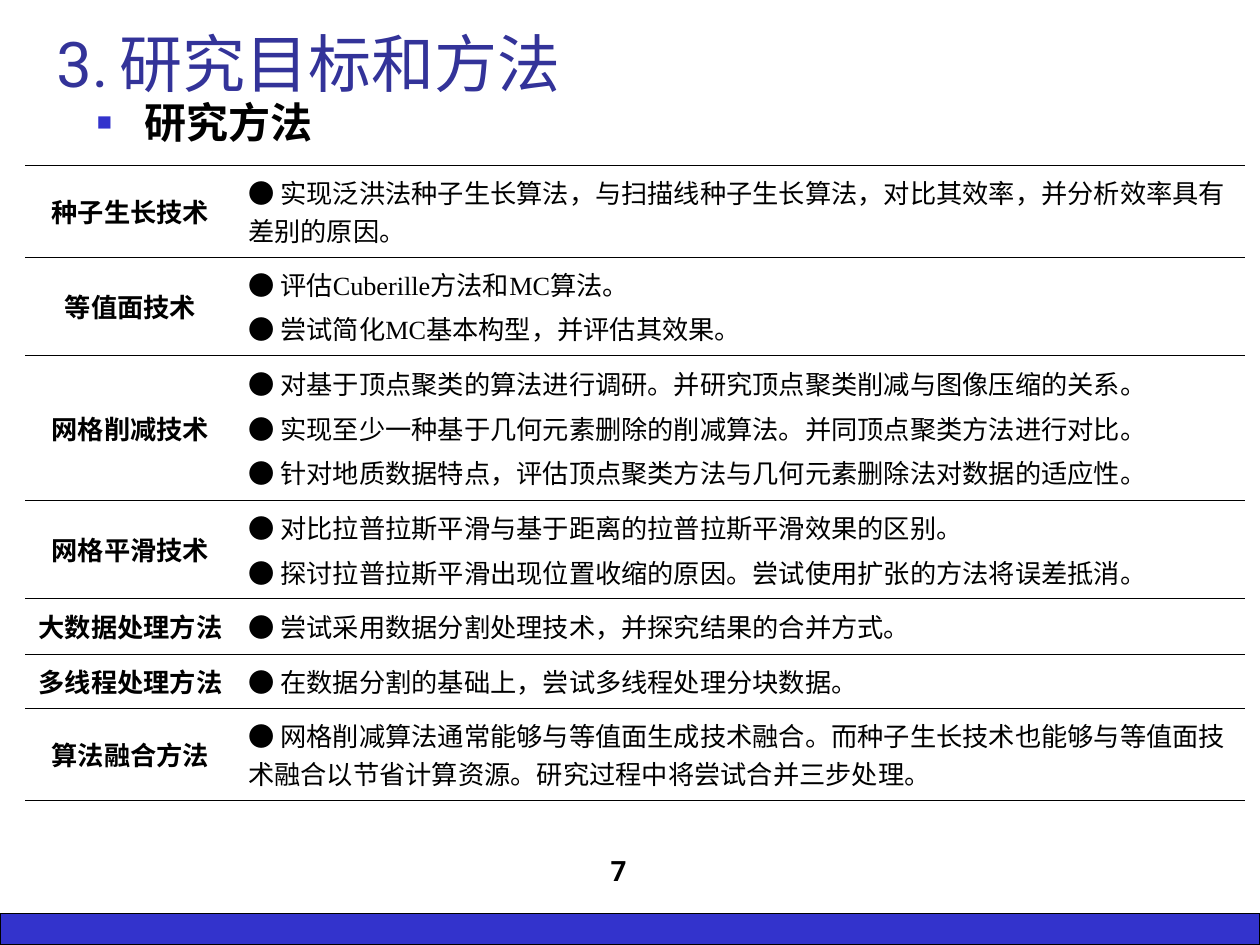
from lxml import etree
from pptx import Presentation
from pptx.dml.color import RGBColor
from pptx.enum.shapes import MSO_SHAPE
from pptx.enum.text import MSO_ANCHOR, PP_ALIGN
from pptx.oxml.ns import qn
from pptx.util import Inches, Pt

RECT = MSO_SHAPE.RECTANGLE
TOP, MIDDLE, BOTTOM = MSO_ANCHOR.TOP, MSO_ANCHOR.MIDDLE, MSO_ANCHOR.BOTTOM
LEFT, CENTER = PP_ALIGN.LEFT, PP_ALIGN.CENTER

COLORS = {"text": "000000", "title": "333399", "accent": "3333CC"}
HEAD, BODY, MARK, CJK = "Roboto", "Times New Roman", "Arial", "Noto Sans CJK SC"

COLUMNS = [1.67, 8.01]
METHODS = [
    (0.73, "种子生长技术", ["实现泛洪法种子生长算法，与扫描线种子生长算法，对比其效率，并分析效率具有差别的原因。"]),
    (0.78, "等值面技术", ["评估Cuberille方法和MC算法。", "尝试简化MC基本构型，并评估其效果。"]),
    (1.15, "网格削减技术", [
        "对基于顶点聚类的算法进行调研。并研究顶点聚类削减与图像压缩的关系。",
        "实现至少一种基于几何元素删除的削减算法。并同顶点聚类方法进行对比。",
        "针对地质数据特点，评估顶点聚类方法与几何元素删除法对数据的适应性。",
    ]),
    (0.78, "网格平滑技术", [
        "对比拉普拉斯平滑与基于距离的拉普拉斯平滑效果的区别。",
        "探讨拉普拉斯平滑出现位置收缩的原因。尝试使用扩张的方法将误差抵消。",
    ]),
    (0.44, "大数据处理方法", ["尝试采用数据分割处理技术，并探究结果的合并方式。"]),
    (0.43, "多线程处理方法", ["在数据分割的基础上，尝试多线程处理分块数据。"]),
    (0.73, "算法融合方法", ["网格削减算法通常能够与等值面生成技术融合。而种子生长技术也能够与等值面技术融合以节省计算资源。研究过程中将尝试合并三步处理。"]),
]


def rgb(name):
    """Return the named colour."""
    return RGBColor.from_string(COLORS[name])


class SlideBuilder:
    """Draw styled elements on one slide."""

    def __init__(self, slide):
        self.slide = slide

    def style(self, r, size, font, color="text", bold=False):
        """Format one run."""
        r.font.size, r.font.bold, r.font.name = Pt(size), bold, font
        r.font.color.rgb = rgb(color)
        etree.SubElement(r.font._element, qn("a:ea"), typeface=CJK)

    def bar(self, x, y, w, h):
        """Add the outlined colour bar."""
        sp = self.slide.shapes.add_shape(RECT, Inches(x), Inches(y), Inches(w), Inches(h))
        sp.shadow.inherit = False
        sp.fill.solid()
        sp.fill.fore_color.rgb = rgb("accent")
        sp.line.color.rgb = rgb("text")
        sp.line.width = Pt(0.75)

    def text(self, x, y, w, h, text, size, color="text", bold=False, align=LEFT, anchor=BOTTOM):
        """Add a one-paragraph text box and return its paragraph."""
        sp = self.slide.shapes.add_textbox(Inches(x), Inches(y), Inches(w), Inches(h))
        tf = sp.text_frame
        tf.word_wrap, tf.vertical_anchor = True, anchor
        p = tf.paragraphs[0]
        p.text, p.alignment = text, align
        self.style(p.runs[0], size, HEAD, color, bold)
        return p

    def bullet(self, p):
        """Give a paragraph a small square bullet."""
        p.line_spacing, p.space_before = 0.9, Pt(6)
        pPr = p._p.get_or_add_pPr()
        pPr.set("marL", str(Inches(0.38)))
        pPr.set("indent", str(-Inches(0.38)))
        clr = etree.SubElement(pPr, qn("a:buClr"))
        etree.SubElement(clr, qn("a:srgbClr"), val=COLORS["accent"])
        etree.SubElement(pPr, qn("a:buSzPct"), val="60000")
        etree.SubElement(pPr, qn("a:buFont"), typeface=MARK)
        etree.SubElement(pPr, qn("a:buChar"), char="■")

    def borders(self, cell):
        """Rule a cell above and below only."""
        tcPr = cell._tc.get_or_add_tcPr()
        for side in "LRTB":
            ln = etree.SubElement(tcPr, qn(f"a:ln{side}"), w=str(Pt(0.25)))
            if side in "LR":
                etree.SubElement(ln, qn("a:noFill"))
            else:
                fill = etree.SubElement(ln, qn("a:solidFill"))
                etree.SubElement(fill, qn("a:srgbClr"), val=COLORS["text"])

    def cell(self, cell, lines, align=LEFT, bold=False, mark=""):
        """Fill a cell with one paragraph per line."""
        self.borders(cell)
        cell.fill.background()
        cell.vertical_anchor = MIDDLE
        tf = cell.text_frame
        for i, line in enumerate(lines):
            p = tf.add_paragraph() if i else tf.paragraphs[0]
            p.alignment, p.space_before = align, Pt(3.7)
            for text, font in ((mark, MARK), (line, BODY)):
                if text:
                    r = p.add_run()
                    r.text = text
                    self.style(r, 15, font, bold=bold)

    def table(self, x, y, columns, rows):
        """Add the table of techniques and their tasks."""
        height = sum(row[0] for row in rows)
        frame = self.slide.shapes.add_table(
            len(rows), len(columns), Inches(x), Inches(y), Inches(sum(columns)), Inches(height))
        table = frame.table
        table.first_row = table.horz_banding = False
        for column, width in zip(table.columns, columns):
            column.width = Inches(width)
        for row, (height, name, tasks) in zip(table.rows, rows):
            row.height = Inches(height)
            self.cell(row.cells[0], [name], CENTER, bold=True)
            self.cell(row.cells[1], tasks, mark="● ")


def main():
    """Build and save the slide."""
    prs = Presentation()
    prs.slide_width, prs.slide_height = Inches(10), Inches(7.5)
    s = SlideBuilder(prs.slides.add_slide(prs.slide_layouts[6]))
    s.bar(0, 7.25, 10, 0.25)
    s.text(3.66, 6.59, 2.5, 0.5, "7", 16, bold=True, align=CENTER)
    s.bullet(s.text(0.67, 0.76, 3.86, 0.55, "研究方法", 24, bold=True, anchor=TOP))
    s.text(0.35, 0.13, 7.56, 0.71, "3.\t研究目标和方法", 36, "title")
    s.table(0.2, 1.31, COLUMNS, METHODS)
    prs.save("out.pptx")


if __name__ == "__main__":
    main()
